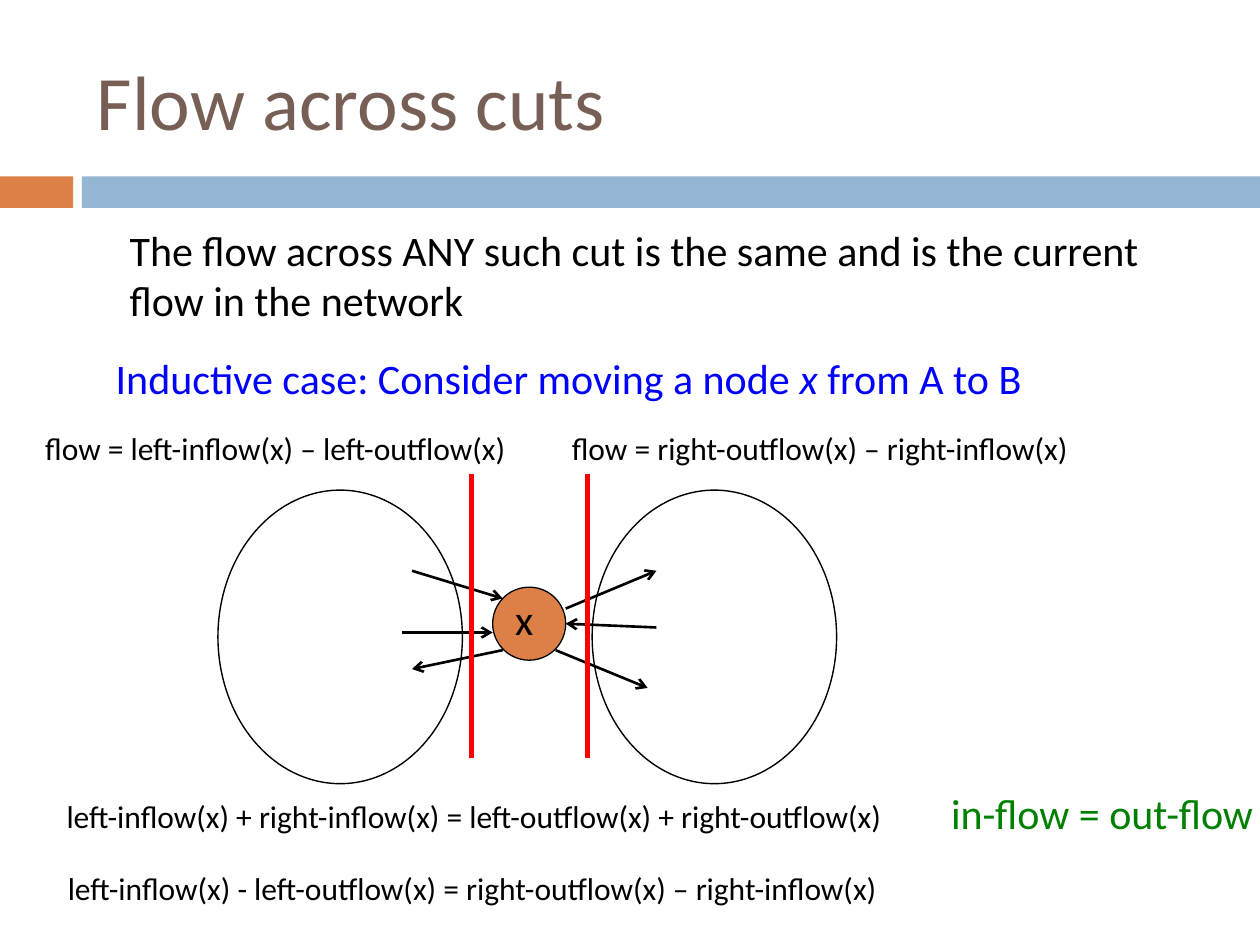
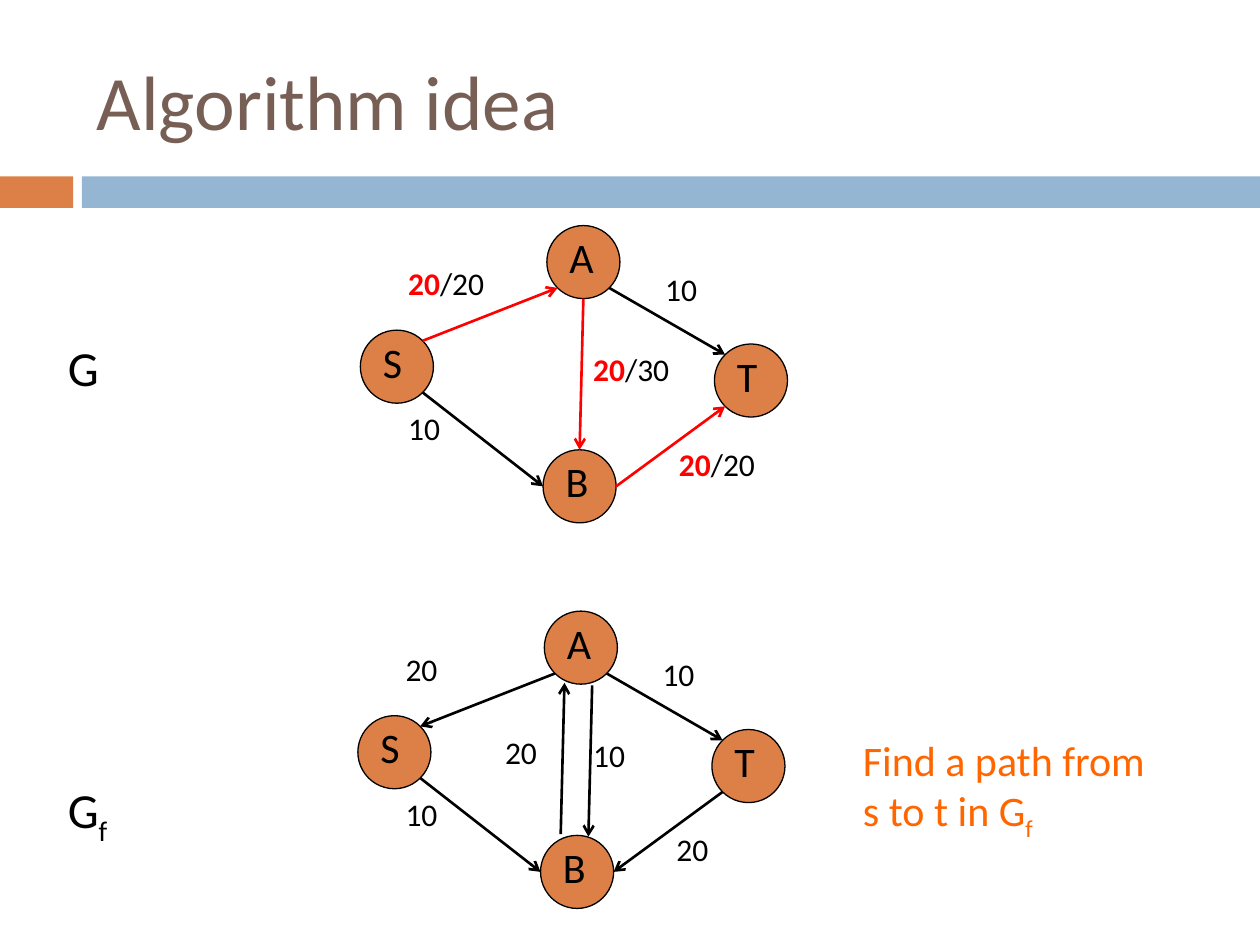
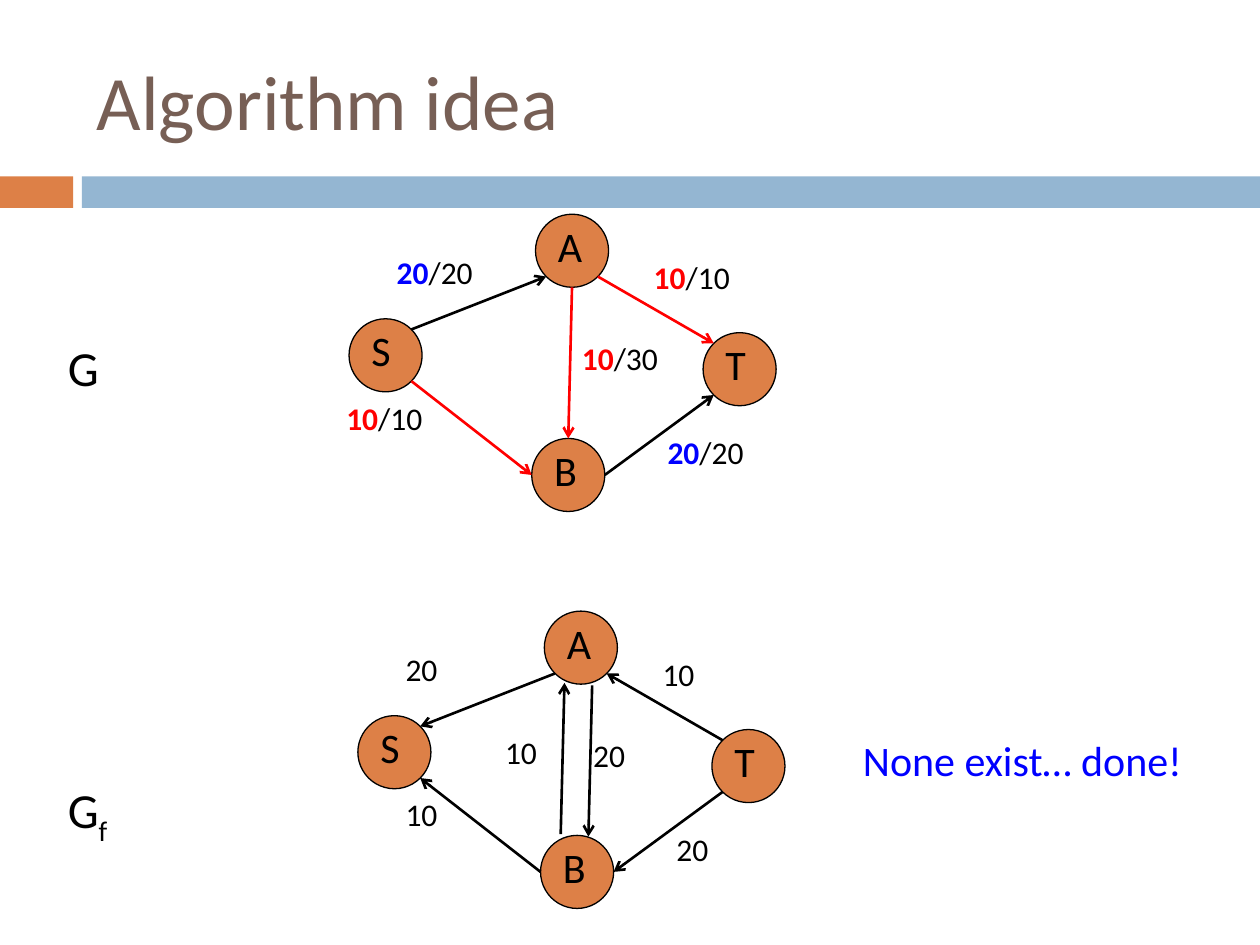
import math
from dataclasses import dataclass

import pptx
import pptx.util
from lxml import etree
from pptx.dml.color import RGBColor
from pptx.enum.shapes import MSO_CONNECTOR, MSO_SHAPE
from pptx.enum.text import MSO_ANCHOR, MSO_AUTO_SIZE
from pptx.oxml.ns import qn
from pptx.slide import Slide
from pptx.util import Inches, Pt


@dataclass(frozen=True)
class Theme:
    font: str = "Calibri"
    black: str = "000000"
    title: str = "775F55"
    accent: str = "DD8047"
    band: str = "94B6D2"
    red: str = "FF0000"
    blue: str = "0000FF"
    green: str = "008000"
    orange: str = "FF6600"
    title_size: int = 44
    graph_size: int = 28
    body_size: int = 24
    small_size: int = 18


THEME = Theme()
Point = tuple[float, float]
Box = tuple[float, float, float, float]


@dataclass(frozen=True)
class Run:
    text: str
    color: str = ""
    bold: bool = False
    italic: bool = False
    subscript: bool = False


@dataclass(frozen=True)
class Edge:
    start: str
    end: str
    capacity: str
    flow: str = ""
    on_path: bool = False
    label_width: float = 0.75
    label_at: Point | None = None
    shift: Point = (0, 0)


NODE_SIZE = 0.58
NODE_SPOTS = {"S": (0, 0.83), "A": (1.48, 0), "B": (1.45, 1.78), "T": (2.81, 0.94)}
LABEL_SPOTS = {"AS": (0.28, 0.26), "BT": (2.43, 1.69), "BS": (0.28, 1.41),
               "AT": (2.32, 0.3), "AB": (1.75, 0.94)}
# Clockwise degrees from east where the edge to the second node leaves the first
PORTS = {("S", "A"): -45, ("A", "S"): 135, ("S", "B"): 45, ("B", "S"): 180,
         ("B", "T"): 0, ("T", "B"): 135, ("A", "B"): 90, ("B", "A"): -90,
         ("A", "T"): 45, ("T", "A"): -135}


def add_text(slide: Slide, box: Box, *runs: Run | str, size: int = THEME.body_size,
             color: str = THEME.black, wrap: bool = True, middle: bool = False) -> None:
    frame = slide.shapes.add_textbox(*map(Inches, box)).text_frame
    frame.word_wrap = wrap
    frame.auto_size = MSO_AUTO_SIZE.NONE if middle else MSO_AUTO_SIZE.SHAPE_TO_FIT_TEXT
    frame.vertical_anchor = MSO_ANCHOR.MIDDLE if middle else MSO_ANCHOR.TOP
    paragraph = frame.paragraphs[0]
    for item in runs:
        part = Run(item) if isinstance(item, str) else item
        for index, line in enumerate(part.text.split("\n")):
            if index:
                paragraph.add_line_break()
            run = paragraph.add_run()
            run.text = line
            run.font.name = THEME.font
            run.font.size = Pt(size)
            run.font.bold = part.bold
            run.font.italic = part.italic
            run.font.color.rgb = RGBColor.from_string(part.color or color)
            if part.subscript:
                run._r.get_or_add_rPr().set("baseline", "-25000")


def add_figure(slide: Slide, preset: MSO_SHAPE, box: Box, fill: str = "",
               line_width: float = 0) -> None:
    figure = slide.shapes.add_shape(preset, *map(Inches, box))
    figure.shadow.inherit = False
    if fill:
        figure.fill.solid()
        figure.fill.fore_color.rgb = RGBColor.from_string(fill)
    else:
        figure.fill.background()
    if line_width:
        figure.line.color.rgb = RGBColor.from_string(THEME.black)
        figure.line.width = Pt(line_width)
    else:
        figure.line.fill.background()


def add_line(slide: Slide, start: Point, end: Point, color: str = THEME.black,
             width: float = 1.5, arrow: bool = True) -> None:
    line = slide.shapes.add_connector(MSO_CONNECTOR.STRAIGHT, *map(Inches, start + end))
    line.line.color.rgb = RGBColor.from_string(color)
    line.line.width = Pt(width)
    if arrow:
        etree.SubElement(line.line._get_or_add_ln(), qn("a:tailEnd"), type="arrow")
    etree.SubElement(line._element.spPr, qn("a:effectLst"))


def add_node(slide: Slide, name: str, corner: Point) -> None:
    left, top = corner
    add_figure(slide, MSO_SHAPE.OVAL, (left, top, NODE_SIZE, NODE_SIZE), THEME.accent, 0.75)
    add_text(slide, (left + 0.08, top, 0.5, 0.5), name)


def moved(point: Point, offset: Point) -> Point:
    return point[0] + offset[0], point[1] + offset[1]


def port(node: str, toward: str) -> Point:
    """Return where the edge to another node meets this node's circle."""
    angle = math.radians(PORTS[node, toward])
    radius = NODE_SIZE / 2
    return moved(NODE_SPOTS[node],
                 (radius * (1 + math.cos(angle)), radius * (1 + math.sin(angle))))


def add_graph(slide: Slide, origin: Point, edges: list[Edge]) -> None:
    for name, spot in NODE_SPOTS.items():
        add_node(slide, name, moved(origin, spot))
    for edge in edges:
        base = moved(origin, edge.shift)
        add_line(slide, moved(base, port(edge.start, edge.end)),
                 moved(base, port(edge.end, edge.start)),
                 color=THEME.red if edge.on_path else THEME.black)
        spot = edge.label_at or LABEL_SPOTS["".join(sorted(edge.start + edge.end))]
        label = [edge.capacity]
        if edge.flow:
            flow_color = THEME.red if edge.on_path else THEME.blue
            label = [Run(edge.flow, flow_color, bold=True), "/" + edge.capacity]
        add_text(slide, moved(origin, spot) + (edge.label_width, 0.4), *label,
                 size=THEME.small_size)


def add_titled_slide(deck, title: str) -> Slide:
    slide = deck.slides.add_slide(deck.slide_layouts[6])
    add_figure(slide, MSO_SHAPE.RECTANGLE, (0, 1.4, 0.58, 0.25), THEME.accent)
    add_figure(slide, MSO_SHAPE.RECTANGLE, (0.65, 1.4, 9.35, 0.25), THEME.band)
    add_text(slide, (0.67, 0.25, 8.92, 1.08), title, size=THEME.title_size,
             color=THEME.title, middle=True)
    return slide


def add_cut_slide(deck) -> None:
    slide = add_titled_slide(deck, "Flow across cuts")
    add_text(slide, (0.93, 1.73, 8.52, 0.91),
             "The flow across ANY such cut is the same and is the current flow in the network")
    add_text(slide, (0.82, 2.75, 8.77, 0.5), "Inductive case: Consider moving a node ",
             Run("x", italic=True), " from A to B", color=THEME.blue)
    for side_left in (1.73, 4.7):
        add_figure(slide, MSO_SHAPE.OVAL, (side_left, 3.89, 1.94, 2.33), line_width=0.79)
    add_node(slide, "x", (3.91, 4.66))
    flows = [
        ((3.27, 4.53), (3.99, 4.75)),
        ((3.19, 5.02), (3.91, 5.02)),
        ((3.99, 5.16), (3.27, 5.31)),
        ((4.49, 4.83), (5.21, 4.53)),
        ((5.21, 4.98), (4.49, 4.95)),
        ((4.41, 5.16), (5.14, 5.46)),
    ]
    for start, end in flows:
        add_line(slide, start, end)
    for cut_x in (3.74, 4.66):
        add_line(slide, (cut_x, 3.76), (cut_x, 6.02), THEME.red, 3, arrow=False)
    add_text(slide, (7.45, 6.2, 2.6, 0.5), "in-flow = out-flow", color=THEME.green, wrap=False)
    equations = [
        ((0.26, 3.36, 3.91, 0.4), "flow = left-inflow(x) – left-outflow(x)"),
        ((4.44, 3.36, 5.5, 0.4), "flow = right-outflow(x) – right-inflow(x)"),
        ((0.43, 6.28, 7.46, 0.4),
         "left-inflow(x) + right-inflow(x) = left-outflow(x) + right-outflow(x)"),
        ((0.44, 6.85, 7.46, 0.4),
         "left-inflow(x) - left-outflow(x) = right-outflow(x) – right-inflow(x)"),
    ]
    for box, equation in equations:
        add_text(slide, box, equation, size=THEME.small_size)


def residual_pair(down: str, up: str) -> list[Edge]:
    """Return the two opposite edges between A and B, set side by side."""
    return [Edge("A", "B", down, label_at=(1.77, 0.94), shift=(0.09, 0.01)),
            Edge("B", "A", up, label_at=(1.07, 0.92), shift=(-0.13, -0.01))]


def add_algorithm_slide(deck, flow_origin: Point, flow_edges: list[Edge],
                        residual_edges: list[Edge]) -> Slide:
    slide = add_titled_slide(deck, "Algorithm idea")
    add_text(slide, (0.44, 2.63, 0.88, 0.57), "G", size=THEME.graph_size)
    add_text(slide, (0.44, 6.14, 0.88, 0.57), "G", Run("f", subscript=True),
             size=THEME.graph_size)
    add_graph(slide, flow_origin, flow_edges)
    add_graph(slide, (2.84, 4.85), residual_edges)
    return slide


def main() -> None:
    deck = pptx.Presentation()
    deck.slide_width, deck.slide_height = Inches(10), Inches(7.5)
    add_cut_slide(deck)

    search = add_algorithm_slide(
        deck, (2.86, 1.79),
        [Edge("S", "A", "20", "20", on_path=True, label_width=1.01),
         Edge("S", "B", "10"),
         Edge("B", "T", "20", "20", on_path=True, label_width=1.23),
         Edge("A", "B", "30", "20", on_path=True, label_width=0.93),
         Edge("A", "T", "10")],
        [Edge("A", "S", "20"), Edge("S", "B", "10"), Edge("T", "B", "20"),
         Edge("A", "T", "10"), *residual_pair(down="10", up="20")])
    add_text(search, (6.75, 5.78, 2.72, 0.91), "Find a path from\ns to t in G",
             Run("f", subscript=True), color=THEME.orange)

    finish = add_algorithm_slide(
        deck, (2.77, 1.7),
        [Edge("S", "A", "20", "20", label_width=1.01),
         Edge("S", "B", "10", "10", on_path=True, label_width=1.35, label_at=(-0.12, 1.42)),
         Edge("B", "T", "20", "20", label_width=1.23),
         Edge("A", "B", "30", "10", on_path=True, label_width=0.93),
         Edge("A", "T", "10", "10", on_path=True, label_width=1.07)],
        [Edge("A", "S", "20"), Edge("B", "S", "10"), Edge("T", "B", "20"),
         Edge("T", "A", "10"), *residual_pair(down="20", up="10")])
    add_text(finish, (6.75, 5.78, 3.11, 0.5), "None exist… done!", color=THEME.blue)

    deck.save("out.pptx")


if __name__ == "__main__":
    main()
